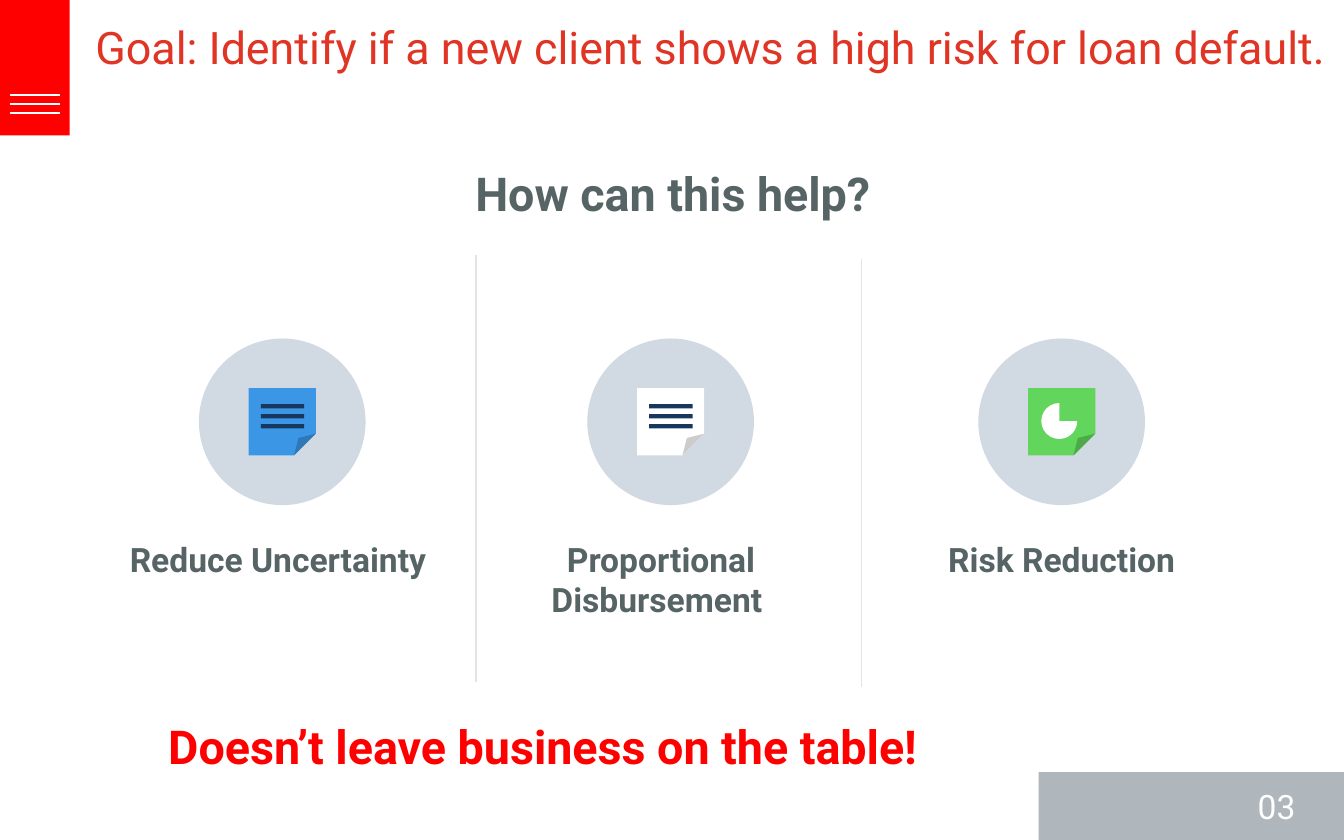
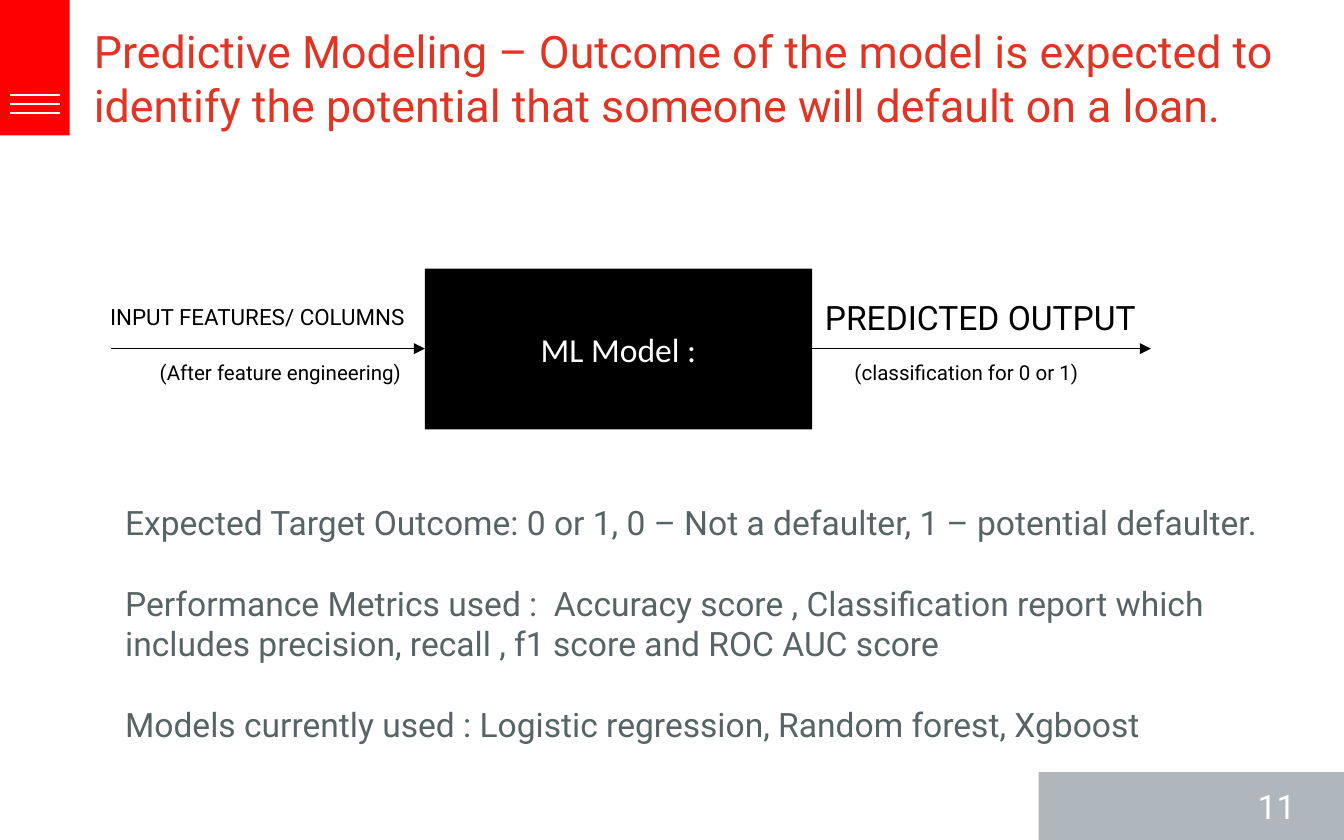
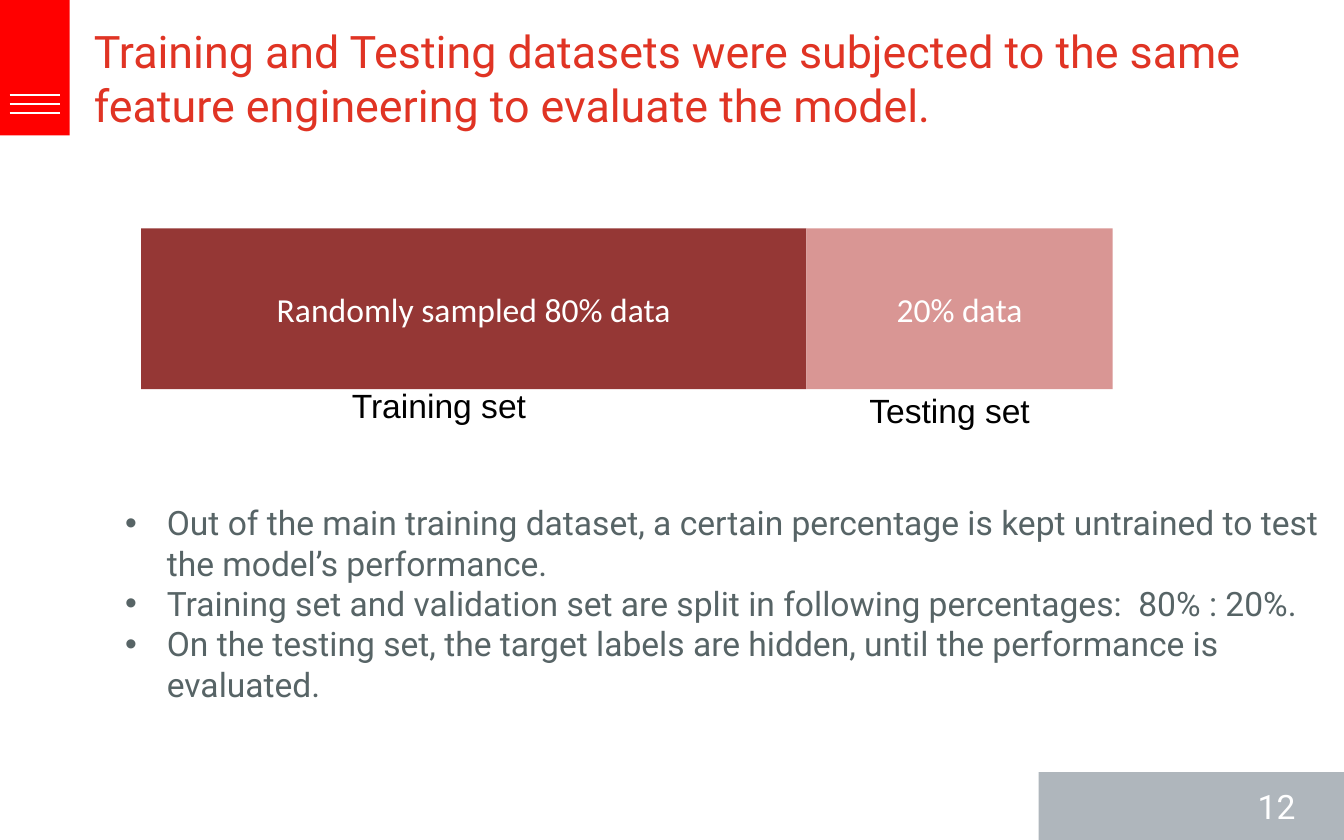
from lxml.etree import SubElement
from pptx import Presentation
from pptx.dml.color import RGBColor
from pptx.enum.shapes import MSO_CONNECTOR, MSO_SHAPE as Preset
from pptx.enum.text import MSO_ANCHOR as Anchor, MSO_AUTO_SIZE, PP_ALIGN as Align
from pptx.oxml.ns import qn
from pptx.util import Cm, Pt

COLOURS = {
    "title": "E03424",
    "red": "FF0000",
    "slate": "576466",
    "footer": "AFB6BC",
    "divider": "E4E4E4",
    "circle": "D1D9E2",
    "navy": "17375E",
    "blue": "3B96E6",
    "green": "61D55C",
    "training": "953735",
    "testing": "D99694",
    "white": "FFFFFF",
    "black": "000000",
}


def add_block(page, preset, place, colour):
    block = page.shapes.add_shape(preset, *[Cm(length) for length in place])
    block.shadow.inherit = False
    block.fill.solid()
    block.fill.fore_color.rgb = RGBColor.from_string(COLOURS[colour])
    block.line.fill.background()
    return block


def write(box, text, size, colour, place=None, font="Roboto", bold=False,
          align=Align.LEFT, anchor=Anchor.TOP, wrap=True, gap=0):
    if place:
        box.left, box.top, box.width, box.height = [Cm(length) for length in place]
    frame = box.text_frame
    frame.text = text
    frame.word_wrap = wrap
    frame.auto_size = MSO_AUTO_SIZE.NONE
    frame.vertical_anchor = anchor
    for index, para in enumerate(frame.paragraphs):
        para.alignment = align
        para.space_before = Pt(gap if index else 0)
        for span in para.runs:
            span.font.name = font
            span.font.size = Pt(size)
            span.font.bold = bold
            span.font.color.rgb = RGBColor.from_string(COLOURS[colour])


deck = Presentation()
deck.slide_width, deck.slide_height = Cm(25.4), Cm(15.88)
content_layout, title_layout = deck.slide_layouts[1], deck.slide_layouts[5]
goal_page = deck.slides.add_slide(title_layout)
model_page = deck.slides.add_slide(content_layout)
split_page = deck.slides.add_slide(content_layout)

lines = [
    (goal_page, 8.99, 4.83, 8.99, 12.9, "divider", 1, False),
    (goal_page, 16.28, 4.9, 16.28, 12.98, "divider", 1, False),
    (model_page, 2.1, 6.59, 8.03, 6.59, "black", 0.75, True),
    (model_page, 15.34, 6.59, 21.75, 6.59, "black", 0.75, True),
]

pages = [
    (goal_page, "03", (1.55, 0.25, 23.85, 1.27),
     "Goal: Identify if a new client shows a high risk for loan default."),
    (model_page, "11", (1.52, 0.33, 23.22, 2.31),
     "Predictive Modeling – Outcome of the model is expected to\n"
     "identify the potential that someone will default on a loan."),
    (split_page, "12", (1.52, 0.33, 22.4, 2.31),
     "Training and Testing datasets were subjected to the same\n"
     "feature engineering to evaluate the model."),
]
for page, number, place, title in pages:
    write(page.shapes.title, title, 24, "title", place, wrap=False)
    add_block(page, Preset.RECTANGLE, (0, 0, 1.32, 2.56), "red")
    add_block(page, Preset.RECTANGLE, (19.63, 14.6, 5.77, 1.28), "footer")
    number_box = page.shapes.add_textbox(0, 0, 0, 0)
    write(number_box, number, 18, "white", (23.52, 14.73, 1.23, 1.02), wrap=False)
    for row in range(3):
        y = 1.8 + 0.17 * row
        lines.append((page, 0.18, y, 1.14, y, "white", 1, False))

benefits = [
    ("Reduce Uncertainty ", 3.76, 1.55, "blue"),
    ("Proportional Disbursement ", 11.1, 8.71, "white"),
    ("Risk Reduction", 18.49, 16.28, "green"),
]
for caption, left, caption_left, colour in benefits:
    add_block(goal_page, Preset.OVAL, (left, 6.4, 3.15, 3.15), "circle")
    note = add_block(goal_page, Preset.FOLDED_CORNER, (left + 0.94, 7.34, 1.27, 1.27), colour)
    geometry = note._element.spPr.find(qn("a:prstGeom"))
    fold = SubElement(geometry.find(qn("a:avLst")), qn("a:gd"))
    fold.set("name", "adj")
    fold.set("fmla", "val 32300")
    if colour == "green":
        add_block(goal_page, Preset.PIE, (left + 1.19, 7.62, 0.68, 0.68), "white")
    else:
        for row in range(3):
            bar = (left + 1.17, 7.64 + 0.19 * row, 0.82, 0.08)
            add_block(goal_page, Preset.RECTANGLE, bar, "navy")
    caption_box = goal_page.shapes.add_textbox(0, 0, 0, 0)
    write(caption_box, caption, 18, "slate", (caption_left, 10.06, 7.57, 1.8),
          bold=True, align=Align.CENTER)

headlines = [
    ("How can this help?", "slate", (6.43, 3, 12.57, 1.83)),
    ("Doesn’t leave business on the table!", "red", (0.97, 13.44, 18.57, 1.83)),
]
for text, colour, place in headlines:
    headline = goal_page.shapes.add_textbox(0, 0, 0, 0)
    write(headline, text, 25, colour, place, bold=True, align=Align.CENTER)

bodies = [
    (model_page, 22.28, 21.5, 0,
     "Expected Target Outcome: 0 or 1, 0 – Not a defaulter, 1 – potential defaulter.\n"
     "Performance Metrics used :  Accuracy score , Classification report which "
     "includes precision, recall , f1 score and ROC AUC score\n"
     "Models currently used : Logistic regression, Random forest, Xgboost"),
    (split_page, 23.09, 0, 0.79,
     "Out of the main training dataset, a certain percentage is kept untrained to test "
     "the model’s performance.\n"
     "Training set and validation set are split in following percentages:  80% : 20%.\n"
     "On the testing set, the target labels are hidden, until the performance is evaluated."),
]
for page, width, gap, indent, text in bodies:
    body = page.placeholders[1]
    write(body, text, 18, "slate", (2.11, 9.37, width, 5.64), gap=gap)
    for para in body.text_frame.paragraphs:
        properties = para._p.get_or_add_pPr()
        properties.set("marL", str(Cm(indent)))
        properties.set("indent", str(-Cm(indent)))
        if indent:
            SubElement(properties, qn("a:buChar")).set("char", "•")
        else:
            SubElement(properties, qn("a:buNone"))

blocks = [
    (model_page, "ML Model :", (8.03, 5.08, 7.32, 3.04), "black"),
    (split_page, "Randomly sampled 80% data", (2.67, 4.32, 12.57, 3.04), "training"),
    (split_page, "20% data", (15.24, 4.32, 5.79, 3.04), "testing"),
]
for page, text, place, colour in blocks:
    block = add_block(page, Preset.RECTANGLE, place, colour)
    write(block, text, 18, "white", font="Calibri", align=Align.CENTER, anchor=Anchor.MIDDLE)

labels = [
    (model_page, "INPUT FEATURES/ COLUMNS", 12, "Roboto", (1.83, 5.61, 6.17, 0.76)),
    (model_page, "PREDICTED OUTPUT", 18, "Roboto", (15.34, 5.49, 6.5, 1.02)),
    (model_page, "(After feature engineering)", 11, "Roboto", (2.77, 6.68, 5.59, 0.74)),
    (model_page, "(classification for 0 or 1)", 11, "Roboto", (15.9, 6.68, 5.59, 0.74)),
    (split_page, "Training set", 18, "Arial", (6.4, 7.16, 3.89, 1.02)),
    (split_page, "Testing set", 18, "Arial", (16.18, 7.24, 3.68, 1.02)),
]
for page, text, size, font, place in labels:
    label = page.shapes.add_textbox(0, 0, 0, 0)
    write(label, text, size, "black", place, font=font, wrap=False)

for page, x1, y1, x2, y2, colour, width, arrow in lines:
    line = page.shapes.add_connector(MSO_CONNECTOR.STRAIGHT, Cm(x1), Cm(y1), Cm(x2), Cm(y2))
    line.line.color.rgb = RGBColor.from_string(COLOURS[colour])
    line.line.width = Pt(width)
    properties = line._element.spPr
    if arrow:
        SubElement(properties.find(qn("a:ln")), qn("a:tailEnd")).set("type", "triangle")
    SubElement(properties, qn("a:effectLst"))

deck.save("out.pptx")
